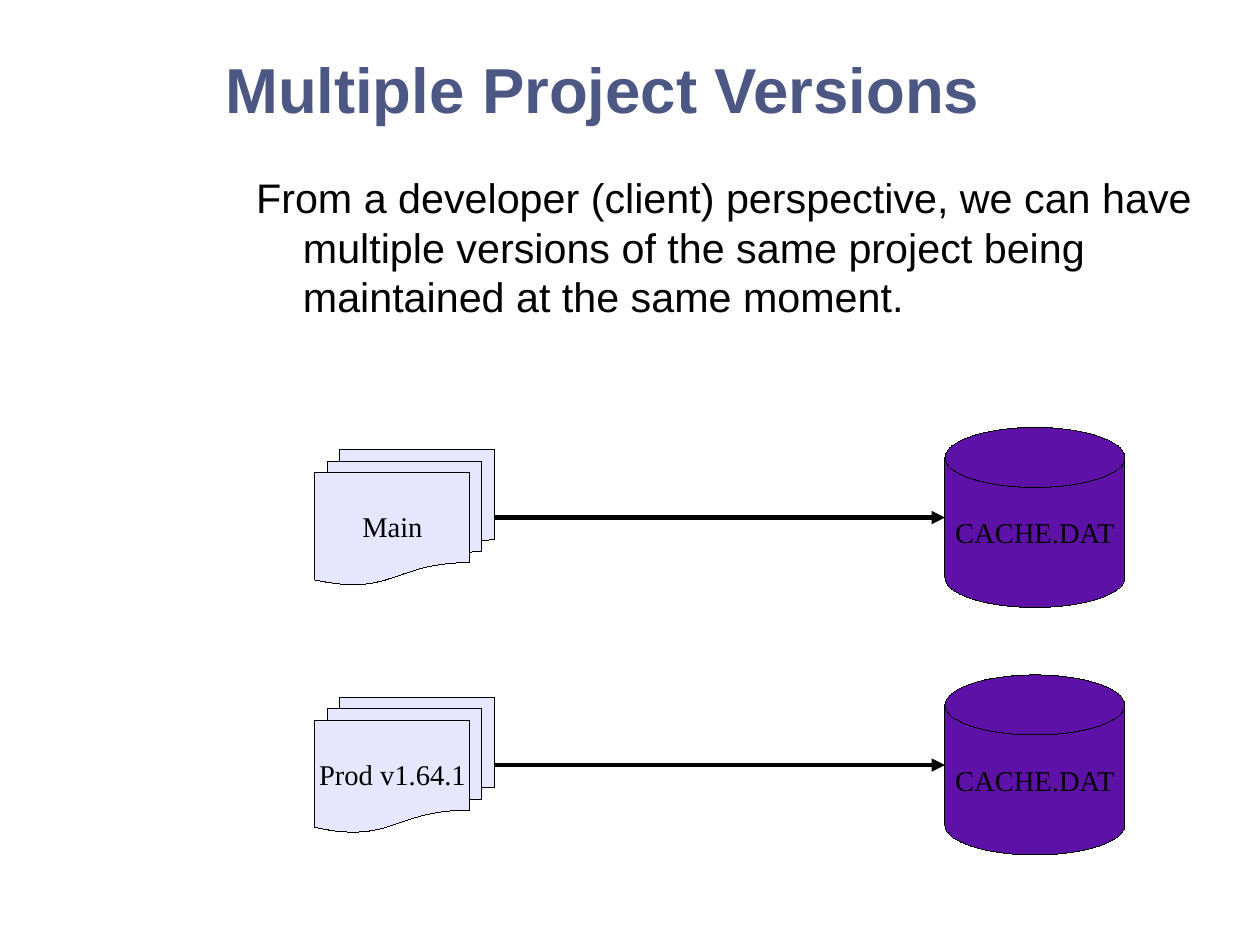
from lxml import etree
from pptx import Presentation
from pptx.dml.color import RGBColor
from pptx.enum.shapes import MSO_CONNECTOR, MSO_SHAPE
from pptx.enum.text import MSO_ANCHOR, MSO_AUTO_SIZE, PP_ALIGN
from pptx.oxml.ns import qn
from pptx.util import Cm, Inches, Pt

# Content
TITLE = "Multiple Project Versions"
BODY = ("From a developer (client) perspective, we can have multiple versions "
        "of the same project being maintained at the same moment.")
VERSIONS = [("Main", "CACHE.DAT"), ("Prod v1.64.1", "CACHE.DAT")]

BLACK = RGBColor(0x00, 0x00, 0x00)
SLATE = RGBColor(0x4C, 0x57, 0x84)
LAVENDER = RGBColor(0xE6, 0xE6, 0xFF)
PURPLE = RGBColor(0x5E, 0x11, 0xA6)

# Grid of one-centimetre cells
PAGE_SIZE = (28, 21)
FIRST_ROW, ROW_STEP = 11.5, 5.5
DOCUMENT_LEFT, DOCUMENT_SIZE = 7, (4, 3)
DISK_LEFT, DISK_SIZE = 21, (4, 4)


def clear_margins(frame):
    frame.margin_left = frame.margin_right = 0
    frame.margin_top = frame.margin_bottom = 0
    frame.word_wrap = True


def style_font(font, name, size, color):
    font.name, font.size = name, Pt(size)
    font.color.rgb = color


def fill_placeholder(box, place, text, indents, size, color, anchor):
    box.left, box.top, box.width, box.height = [Inches(n) for n in place]
    frame = box.text_frame
    frame.text = text
    clear_margins(frame)
    frame.auto_size = MSO_AUTO_SIZE.SHAPE_TO_FIT_TEXT
    frame.vertical_anchor = anchor
    para = frame.paragraphs[0]
    para.alignment = PP_ALIGN.LEFT
    para.space_before = Pt(0)
    properties = para._p.get_or_add_pPr()
    for name, inches in zip(("marL", "indent"), indents):
        properties.set(name, str(Inches(inches)))
    etree.SubElement(properties, qn("a:buNone"))
    style_font(para.runs[0].font, "Arial", size, color)
    return para


def add_node(page, kind, left, middle, size, label, color):
    width, height = size
    node = page.shapes.add_shape(kind, Cm(left), Cm(middle - height / 2),
                                 Cm(width), Cm(height))
    node.shadow.inherit = False
    node.fill.solid()
    node.fill.fore_color.rgb = color
    node.line.color.rgb = BLACK
    node.line._get_or_add_ln().set("w", "0")  # hairline
    frame = node.text_frame
    frame.text = label
    clear_margins(frame)
    frame.vertical_anchor = MSO_ANCHOR.MIDDLE
    para = frame.paragraphs[0]
    para.alignment = PP_ALIGN.CENTER
    style_font(para.runs[0].font, "Times New Roman", 18, BLACK)


def add_arrow(page, start, end, middle):
    arrow = page.shapes.add_connector(MSO_CONNECTOR.STRAIGHT, Cm(start), Cm(middle),
                                      Cm(end), Cm(middle))
    arrow.line.color.rgb = BLACK
    arrow.line.width = Pt(2.83)
    etree.SubElement(arrow.line._get_or_add_ln(), qn("a:tailEnd"), type="triangle")
    etree.SubElement(arrow._element.spPr, qn("a:effectLst"))


def main():
    deck = Presentation()
    deck.slide_width, deck.slide_height = [Cm(n) for n in PAGE_SIZE]
    page = deck.slides.add_slide(deck.slide_layouts[1])

    # Title and body
    title = fill_placeholder(page.shapes.title, (1.97, 0.33, 9.23, 0.89), TITLE,
                             (0.24, -0.39), 40, SLATE, MSO_ANCHOR.MIDDLE)
    title.runs[0].font.bold = True
    body = fill_placeholder(page.placeholders[1], (2.18, 1.51, 8.63, 1.44), BODY,
                            (0.47, -0.41), 26, BLACK, MSO_ANCHOR.TOP)
    body.space_after = Pt(14.2)

    # One row per project version: documents, disk, arrow
    for row, (project, database) in enumerate(VERSIONS):
        middle = FIRST_ROW + row * ROW_STEP
        add_node(page, MSO_SHAPE.FLOWCHART_MULTIDOCUMENT, DOCUMENT_LEFT, middle,
                 DOCUMENT_SIZE, project, LAVENDER)
        add_node(page, MSO_SHAPE.FLOWCHART_MAGNETIC_DISK, DISK_LEFT, middle,
                 DISK_SIZE, database, PURPLE)
        add_arrow(page, DOCUMENT_LEFT + DOCUMENT_SIZE[0], DISK_LEFT, middle)

    deck.save("out.pptx")


if __name__ == "__main__":
    main()
